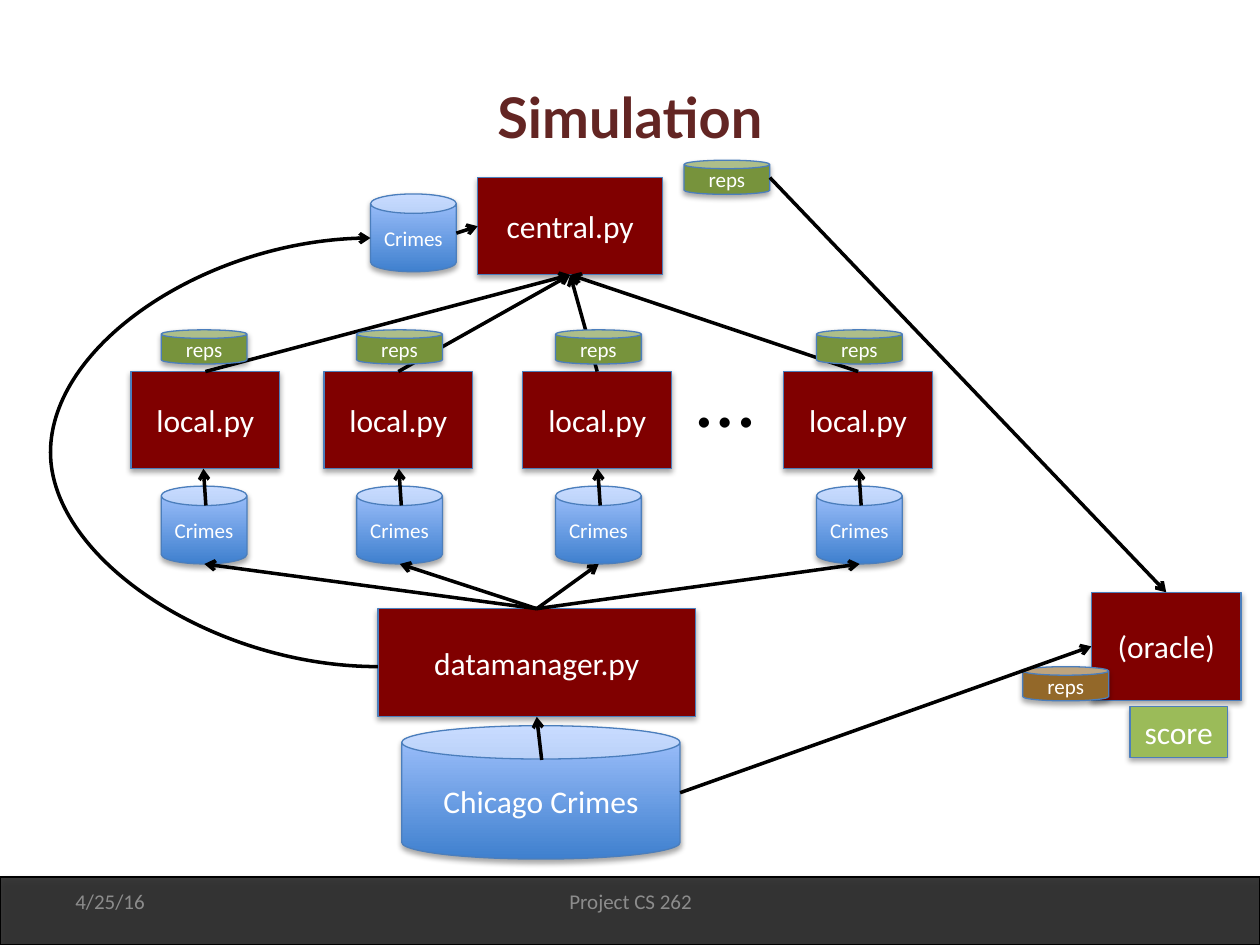
from lxml import etree
from pptx import Presentation
from pptx import util as u
from pptx.dml.color import RGBColor
from pptx.enum import shapes, text
from pptx.oxml.ns import qn

TOP, LEFT, BOTTOM = 0, 1, 2
RECT, CAN = shapes.MSO_SHAPE.RECTANGLE, shapes.MSO_SHAPE.CAN
MAROON, OLIVE, BROWN, GREEN = "800000", "77933C", "936829", "9BBB59"
BLUE_FADE = ("3F80CE", "A4C4FF")
EDGE = "4B7EBC"


def colour(hex_value):
    return RGBColor.from_string(hex_value)


def sub(parent, tag, **attributes):
    """Append a drawing element with the given attributes."""
    return etree.SubElement(parent, qn(tag), {k: str(v) for k, v in attributes.items()})


class Diagram:
    font_name = "Calibri"

    def __init__(self, slide):
        self.slide = slide

    def set_words(self, shape, words, size, ink="FFFFFF", align=text.PP_ALIGN.CENTER,
                  anchor=text.MSO_ANCHOR.MIDDLE, **extra):
        frame = shape.text_frame
        frame.word_wrap = True
        frame.vertical_anchor = anchor
        paragraph = frame.paragraphs[0]
        paragraph.alignment = align
        run = paragraph.add_run()
        run.text = words
        style = {"name": self.font_name, "size": u.Pt(size), **extra}
        for key, value in style.items():
            setattr(run.font, key, value)
        run.font.color.rgb = colour(ink)

    def label(self, words, box, size, ink, **style):
        self.set_words(self.slide.shapes.add_textbox(*map(u.Cm, box)), words, size, ink, **style)

    def block(self, kind, box, fill, words="", size=18, edge=EDGE):
        shape = self.slide.shapes.add_shape(kind, *map(u.Cm, box))
        if isinstance(fill, tuple):
            shape.fill.gradient()
            shape.fill.gradient_angle = 90
            for stop, shade in zip(shape.fill.gradient_stops, fill):
                stop.color.rgb = colour(shade)
        else:
            shape.fill.solid()
            shape.fill.fore_color.rgb = colour(fill)
        shape.line.color.rgb = colour(edge)
        shape.line.width = u.Pt(0.75)
        # Soft shadow straight below
        shape.shadow.inherit = False
        effects = shape._element.spPr.find(qn("a:effectLst"))
        shadow = sub(effects, "a:outerShdw", blurRad=40000, dist=23000,
                     dir=5400000, rotWithShape=0)
        sub(sub(shadow, "a:srgbClr", val="000000"), "a:alpha", val=35000)
        if words:
            self.set_words(shape, words, size)
        return shape

    def crimes(self, left, top):
        return self.block(CAN, (left, top, 1.73, 1.57), BLUE_FADE, "Crimes", 12)

    def reps(self, left, top, fill=OLIVE):
        return self.block(CAN, (left, top, 1.73, 0.69), fill, "reps", 12)

    def arrow(self, start, end, kind=shapes.MSO_CONNECTOR.STRAIGHT):
        """Each end is a point in cm or a (rectangle, side) pair."""
        joined = [not isinstance(spot[0], (int, float)) for spot in (start, end)]
        points = [(0, 0) if join else spot for join, spot in zip(joined, (start, end))]
        line = self.slide.shapes.add_connector(
            kind, *(u.Cm(value) for point in points for value in point))
        if joined[0]:
            line.begin_connect(*start)
        if joined[1]:
            line.end_connect(*end)
        line.line.color.rgb = colour("000000")
        line.line.width = u.Pt(2)
        sub(line.line._get_or_add_ln(), "a:tailEnd", type="arrow")
        sub(line._element.spPr, "a:effectLst")
        return line

    def curved_arrow(self, start, end, bend_x):
        line = self.arrow(start, end, shapes.MSO_CONNECTOR.CURVE)
        bend = round(100000 * (start[0] - bend_x) / (start[0] - end[0]))
        guides = line._element.spPr.find(qn("a:prstGeom")).find(qn("a:avLst"))
        sub(guides, "a:gd", name="adj1", fmla=f"val {bend}")


def main():
    deck = Presentation()
    deck.slide_width, deck.slide_height = u.Cm(25.4), u.Cm(19.05)
    diagram = Diagram(deck.slides.add_slide(deck.slide_layouts[6]))

    # Footer and title
    footer = diagram.block(RECT, (0, 17.68, 25.4, 1.37), "262626", edge="000000")
    footer_colour = footer._element.spPr.find(qn("a:solidFill"))[0]
    sub(footer_colour, "a:alpha", val=90000)
    diagram.label("Simulation", (1.27, 0.76, 22.86, 3.18), 32, "632523",
                  name="Lato", bold=True)
    diagram.label("4/25/16", (1.27, 17.65, 5.92, 1.02), 12, "8C8C8C",
                  align=text.PP_ALIGN.LEFT)
    diagram.label("Project CS 262", (8.69, 17.65, 8.05, 1.02), 12, "8C8C8C")

    # Programs
    central = diagram.block(RECT, (9.63, 3.58, 3.73, 1.96), MAROON, "central.py")
    local_programs = [diagram.block(RECT, (left, 7.49, 3, 1.96), MAROON, "local.py")
                      for left in (2.64, 6.53, 10.54, 15.8)]
    for program in reversed(local_programs):
        diagram.arrow((program, TOP), (central, BOTTOM))
    diagram.block(CAN, (8.1, 14.63, 5.61, 2.69), BLUE_FADE, "Chicago Crimes")
    manager = diagram.block(RECT, (7.62, 12.27, 6.4, 2.18), MAROON, "datamanager.py")
    oracle = diagram.block(RECT, (22, 11.94, 3.02, 2.18), MAROON, "(oracle)")
    diagram.block(RECT, (22.78, 14.25, 1.96, 1.02), GREEN, "score")

    # Data of each local program
    for left in (3.25, 7.19, 11.2, 16.46):
        middle = left + 0.87
        diagram.reps(left, 6.65)
        diagram.crimes(left, 9.8)
        diagram.arrow((manager, TOP), (middle, 11.37))
        diagram.arrow((middle + 0.03, 10.19), (middle - 0.02, 9.45))
    diagram.label("…", (13.79, 6.81, 1.78, 2.31), 48, "000000",
                  align=text.PP_ALIGN.LEFT, anchor=text.MSO_ANCHOR.TOP)

    # Data of the central program and the oracle
    diagram.crimes(7.47, 3.91)
    diagram.reps(13.79, 3.23)
    diagram.reps(20.62, 13.44, BROWN)
    diagram.arrow((10.92, 15.32), (manager, BOTTOM))
    diagram.arrow((9.2, 4.7), (central, LEFT))
    diagram.arrow((15.52, 3.58), (oracle, TOP))
    diagram.arrow((13.71, 15.98), (oracle, LEFT))
    diagram.curved_arrow((7.62, 13.44), (7.47, 4.8), bend_x=1.02)

    deck.save("out.pptx")


if __name__ == "__main__":
    main()
